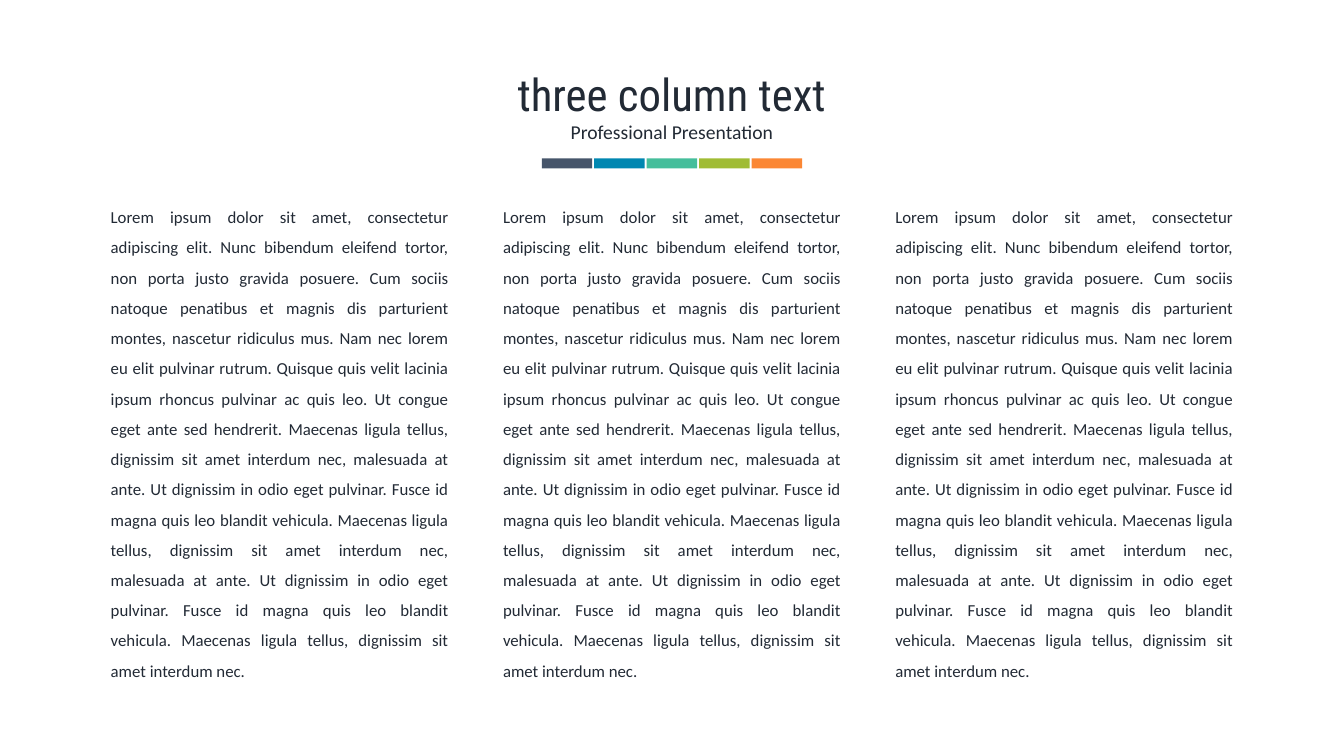
from dataclasses import dataclass

from pptx import Presentation
from pptx.dml.color import RGBColor
from pptx.enum.shapes import MSO_SHAPE as Preset
from pptx.enum.text import MSO_ANCHOR as Anchor, MSO_AUTO_SIZE as AutoSize, PP_ALIGN as Align
from pptx.util import Pt


@dataclass(frozen=True)
class Theme:
    ink: str = "222A35"
    accents: tuple = ("46556A", "0087B1", "45BE9B", "A0BC34", "FB8734")
    heading_font: str = "Roboto Condensed"
    body_font: str = "Calibri"
    title_size: int = 32
    subtitle_size: int = 14
    body_size: int = 12


THEME = Theme()
SLIDE_WIDTH, SLIDE_HEIGHT = 960, 540
TITLE_ONLY_LAYOUT = 5
MARGIN = 72

# Column wording: an opening, a passage said twice, and its first words as the close
OPENING = (
    "Lorem ipsum dolor sit amet, consectetur adipiscing elit. Nunc bibendum "
    "eleifend tortor, non porta justo gravida posuere. Cum sociis natoque "
    "penatibus et magnis dis parturient montes, nascetur ridiculus mus. Nam nec "
    "lorem eu elit pulvinar rutrum. Quisque quis velit lacinia ipsum rhoncus "
    "pulvinar ac quis leo. Ut congue eget ante sed hendrerit."
)
CLAUSE = "Maecenas ligula tellus, dignissim sit amet interdum nec"
PASSAGE = (
    f"{CLAUSE}, malesuada at ante. Ut dignissim in odio eget pulvinar. "
    "Fusce id magna quis leo blandit vehicula."
)
COLUMN_TEXT = " ".join([OPENING, PASSAGE, PASSAGE, f"{CLAUSE}."])


def place(shape, left, top, width, height):
    shape.left, shape.top, shape.width, shape.height = map(Pt, (left, top, width, height))


def write_text(shape, text, *, size, font=THEME.body_font, color=THEME.ink,
               align=Align.CENTER, spacing=1.0):
    frame = shape.text_frame
    frame.word_wrap = True
    frame.auto_size = AutoSize.NONE
    frame.vertical_anchor = Anchor.TOP
    paragraph = frame.paragraphs[0]
    paragraph.alignment = align
    paragraph.line_spacing = spacing
    run = paragraph.add_run()
    run.text = text
    run.font.name = font
    run.font.size = Pt(size)
    run.font.color.rgb = RGBColor.from_string(color)


def add_heading(slide, left, top, width, title_text, subtitle_text):
    # Title
    title = slide.shapes.title
    place(title, left, top, width, 46)
    write_text(title, title_text, size=THEME.title_size, font=THEME.heading_font)

    # Subtitle
    subtitle = slide.shapes.add_textbox(Pt(left), Pt(top + 38), Pt(width), Pt(24.5))
    write_text(subtitle, subtitle_text, size=THEME.subtitle_size)


def add_color_strip(slide, left, top, width, colors, bar_width=36, bar_height=7.2, gap=1.5):
    # Equal bars, centred in the given width
    step = bar_width + gap
    strip_width = step * len(colors) - gap
    first_left = left + (width - strip_width) / 2
    for index, color in enumerate(colors):
        bar = slide.shapes.add_shape(Preset.RECTANGLE, Pt(first_left + index * step), Pt(top),
                                     Pt(bar_width), Pt(bar_height))
        bar.shadow.inherit = False
        bar.fill.solid()
        bar.fill.fore_color.rgb = RGBColor.from_string(color)
        bar.line.fill.background()


def add_columns(slide, left, top, width, height, texts, gap=24.6):
    # Equal columns that share the given width
    column_width = (width - gap * (len(texts) - 1)) / len(texts)
    step = column_width + gap
    for index, text in enumerate(texts):
        column = slide.shapes.add_textbox(Pt(left + index * step), Pt(top),
                                          Pt(column_width), Pt(height))
        write_text(column, text, size=THEME.body_size, align=Align.JUSTIFY, spacing=1.5)


def main():
    presentation = Presentation()
    presentation.slide_width, presentation.slide_height = Pt(SLIDE_WIDTH), Pt(SLIDE_HEIGHT)
    slide = presentation.slides.add_slide(presentation.slide_layouts[TITLE_ONLY_LAYOUT])

    add_heading(slide, 0, 44, SLIDE_WIDTH, "three column text", "Professional Presentation")
    add_color_strip(slide, 0, 113.2, SLIDE_WIDTH, THEME.accents)
    add_columns(slide, MARGIN, 137, SLIDE_WIDTH - 2 * MARGIN, 356.4, [COLUMN_TEXT] * 3)

    presentation.save("out.pptx")


if __name__ == "__main__":
    main()
